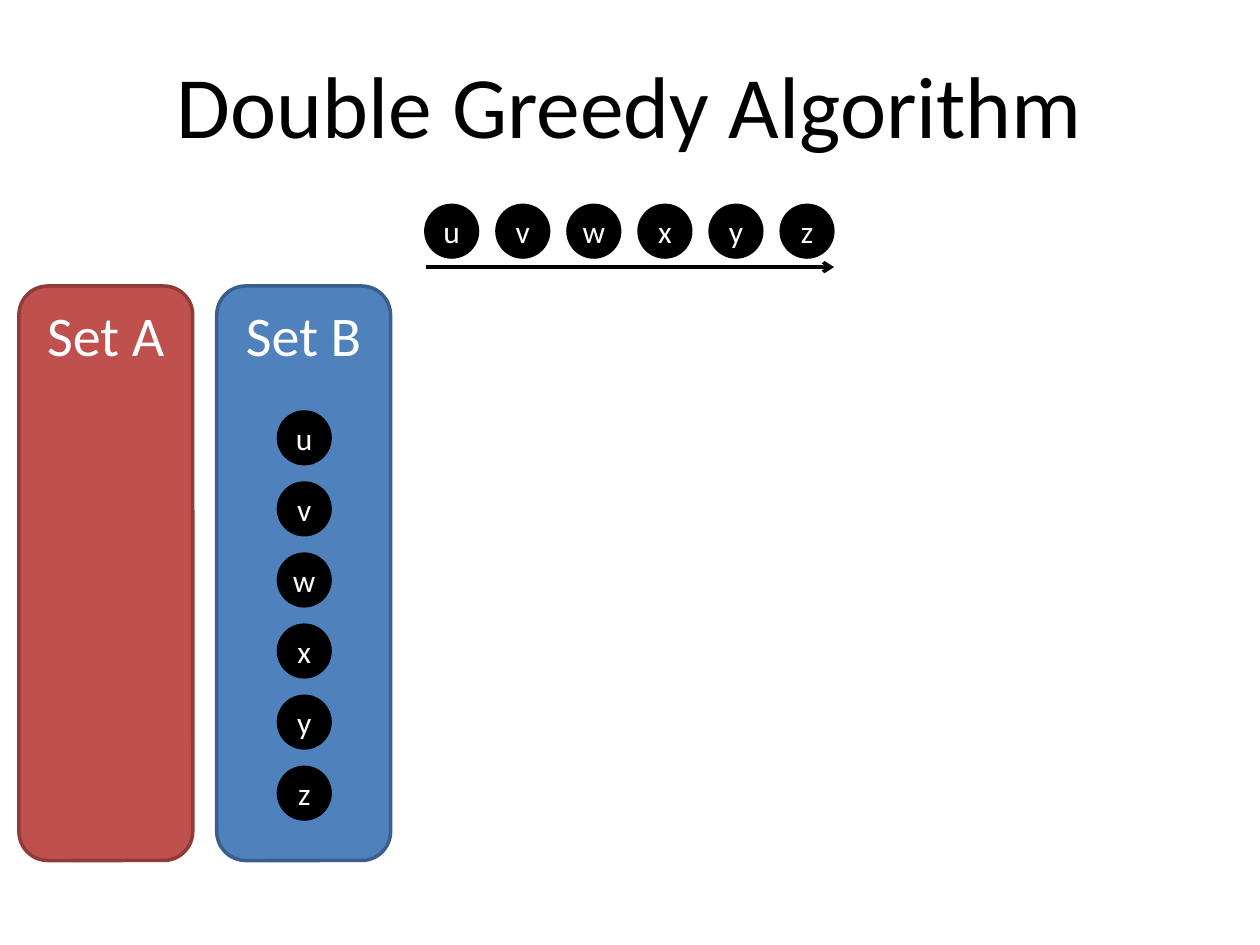
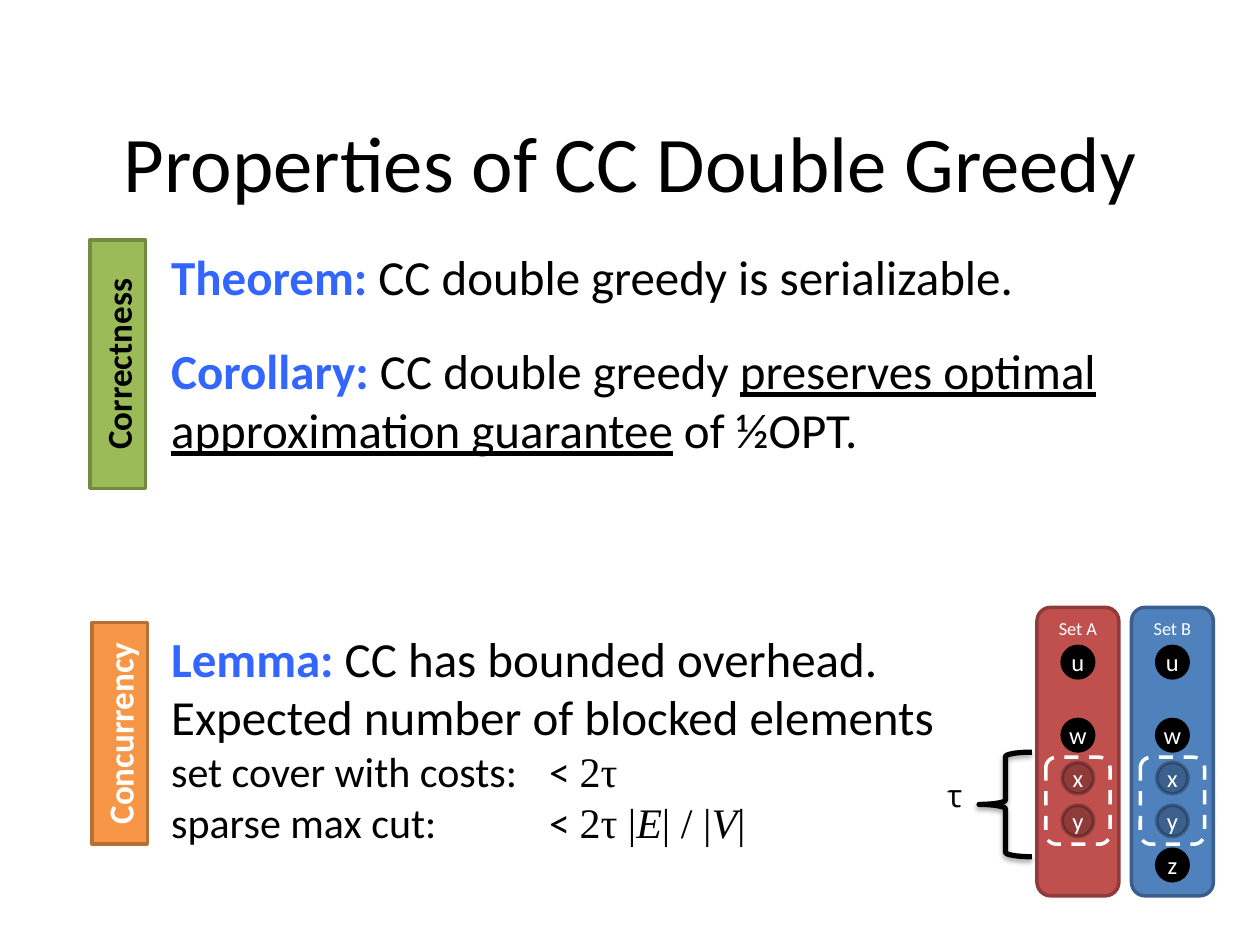
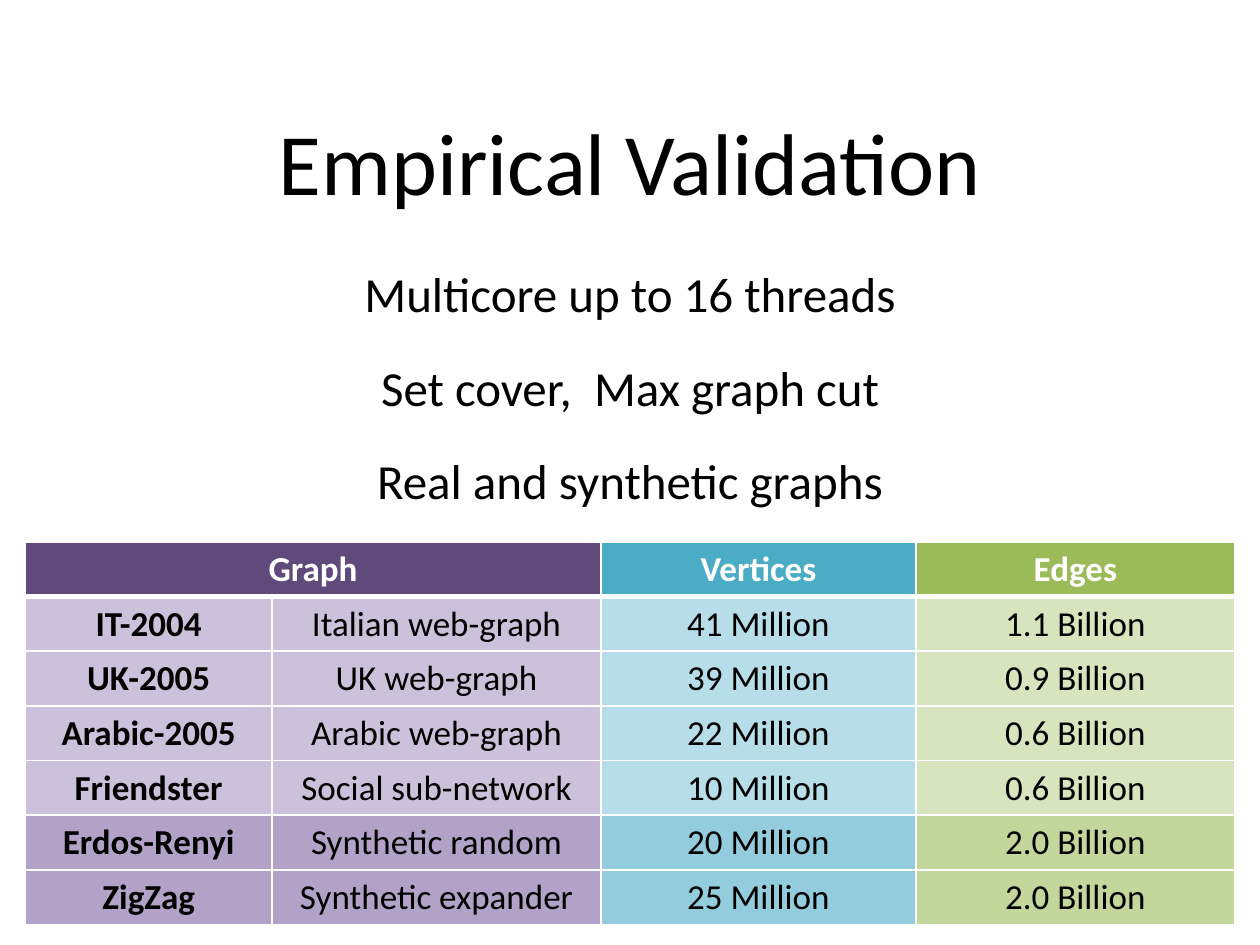
from lxml.etree import SubElement
from pptx import Presentation
from pptx.dml.color import RGBColor
from pptx.enum.dml import MSO_LINE
from pptx.enum.shapes import MSO_CONNECTOR, MSO_SHAPE
from pptx.enum.text import MSO_ANCHOR, PP_ALIGN
from pptx.oxml.ns import qn
from pptx.util import Inches, Pt

COLORS = {
    "black": "000000", "white": "FFFFFF", "accent": "3366FF",
    "red": "C0504D", "red_line": "8E3B39",
    "blue": "4F81BD", "blue_line": "3A5F8C",
    "green": "9BBB59", "green_line": "738A42",
    "orange": "F79646", "orange_line": "B76F34",
    "purple": "604A7B", "purple_mid": "B3A2C7", "purple_light": "CCC1DA",
    "teal": "4BACC6", "teal_mid": "93CDDD", "teal_light": "B7DEE8",
    "green_mid": "C3D69B", "green_light": "D7E4BD",
}
FONT = "Calibri"
MATH_FONT = "Times New Roman"

ELEMENTS = "uvwxyz"
SETS = [("Set A", "red"), ("Set B", "blue")]

LABEL = {"bold": True, "color": "accent"}
MATH = {"font": MATH_FONT}
MATH_ITALIC = {"font": MATH_FONT, "italic": True}
PROPERTIES = [
    (0, 28, [("Theorem:", LABEL), (" CC double greedy is serializable.", {})]),
    (20, 28, [("Corollary:", LABEL), (" CC double greedy ", {}),
              ("preserves optimal approximation guarantee", {"underline": True}),
              (" of ½OPT.", {})]),
    (97, 28, [("Lemma:", LABEL),
              (" CC has bounded overhead.\nExpected number of blocked elements", {})]),
    (0, 24, [("set cover with costs:\t< ", {}), ("2τ\n", MATH),
             ("sparse max cut:\t< ", {}), ("2τ |", MATH), ("E", MATH_ITALIC),
             ("| / |", MATH), ("V", MATH_ITALIC), ("|", MATH)]),
]
SIDE_BARS = [
    ("Correctness", "green", "black", -0.05, 2.67, 1.97),
    ("Concurrency", "orange", "white", 0.07, 5.6, 1.76),
]
CIRCLE_TOPS = {"u": 5.13, "w": 5.71, "x": 6.05, "y": 6.39, "z": 6.74}
SET_MEMBERS = {"Set A": "uwxy", "Set B": "uwxyz"}
BLOCKED = "xy"

VALIDATION = [
    "Multicore up to 16 threads",
    "Set cover,  Max graph cut",
    "Real and synthetic graphs",
]
GRAPHS = [
    ("Graph", "", "Vertices", "Edges"),
    ("IT-2004", "Italian web-graph", "41 Million", "1.1 Billion"),
    ("UK-2005", "UK web-graph", "39 Million", "0.9 Billion"),
    ("Arabic-2005", "Arabic web-graph", "22 Million", "0.6 Billion"),
    ("Friendster", "Social sub-network", "10 Million", "0.6 Billion"),
    ("Erdos-Renyi", "Synthetic random", "20 Million", "2.0 Billion"),
    ("ZigZag", "Synthetic expander", "25 Million", "2.0 Billion"),
]
COLUMN_WIDTHS = [1.96, 2.61, 2.5, 2.53]
COLUMN_HUES = ["purple", "purple", "teal", "green"]
FIRST_SYNTHETIC_ROW = 5
ROW_HEIGHT = 0.41


def rgb(name):
    return RGBColor.from_string(COLORS[name])


def write(paragraph, text, size=18, color="black", font=FONT, bold=False,
          italic=False, underline=False, align=PP_ALIGN.LEFT, space_before=0):
    paragraph.alignment = align
    paragraph.space_before = Pt(space_before)
    for index, line in enumerate(text.split("\n")):
        if index:
            paragraph.add_line_break()
        if not line:
            continue
        run = paragraph.add_run()
        run.text = line
        run.font.size = Pt(size)
        run.font.name = font
        run.font.color.rgb = rgb(color)
        run.font.bold = bold
        run.font.italic = italic
        run.font.underline = underline


def write_centred(paragraph, text, **style):
    write(paragraph, text, align=PP_ALIGN.CENTER, **style)


def add_titled_slide(presentation, title, top, size):
    slide = presentation.slides.add_slide(presentation.slide_layouts[5])
    shape = slide.shapes.title
    shape.left, shape.top = Inches(0.5), Inches(top)
    shape.width, shape.height = Inches(9), Inches(1.25)
    shape.text_frame.vertical_anchor = MSO_ANCHOR.MIDDLE
    write_centred(shape.text_frame.paragraphs[0], title, size=size)
    return slide


def add_text_frame(slide, left, top, width, height, wrap=True):
    box = slide.shapes.add_textbox(*map(Inches, (left, top, width, height)))
    box.text_frame.word_wrap = wrap
    return box.text_frame


def add_preset(slide, preset, left, top, width, height, fill, line, weight=2):
    shape = slide.shapes.add_shape(preset, *map(Inches, (left, top, width, height)))
    shape.shadow.inherit = False
    if fill:
        shape.fill.solid()
        shape.fill.fore_color.rgb = rgb(fill)
    else:
        shape.fill.background()
    shape.line.color.rgb = rgb(line)
    shape.line.width = Pt(weight)
    return shape


def add_circle(slide, letter, left, top, diameter, size, faded=False):
    circle = add_preset(slide, MSO_SHAPE.OVAL, left, top, diameter, diameter, "black", "black")
    if faded:
        for color in circle._element.spPr.iter(qn("a:srgbClr")):
            SubElement(color, qn("a:alpha"), val="25000")
    frame = circle.text_frame
    frame.margin_left = frame.margin_right = frame.margin_top = frame.margin_bottom = 0
    frame.vertical_anchor = MSO_ANCHOR.MIDDLE
    write_centred(frame.paragraphs[0], letter, size=size, color="white")


def add_set(slide, name, hue, left, top, width, height, size):
    panel = add_preset(slide, MSO_SHAPE.ROUNDED_RECTANGLE, left, top, width, height,
                       hue, f"{hue}_line")
    panel.text_frame.vertical_anchor = MSO_ANCHOR.TOP
    write_centred(panel.text_frame.paragraphs[0], name, size=size, color="white")


def add_order_arrow(slide):
    arrow = slide.shapes.add_connector(
        MSO_CONNECTOR.STRAIGHT, *map(Inches, (3.38, 2.12, 6.62, 2.12)))
    arrow.line.color.rgb = rgb("black")
    arrow.line.width = Pt(2)
    SubElement(arrow.line._get_or_add_ln(), qn("a:tailEnd"), type="arrow")
    SubElement(arrow._element.spPr, qn("a:effectLst"))


def build_algorithm(presentation):
    slide = add_titled_slide(presentation, "Double Greedy Algorithm", 0.2, 50)
    for index, (name, hue) in enumerate(SETS):
        add_set(slide, name, hue, 0.15 + index * 1.57, 2.27, 1.38, 4.56, 32)
    step = 2.82 / (len(ELEMENTS) - 1)
    for index, letter in enumerate(ELEMENTS):
        add_circle(slide, letter, 2.21, 3.27 + index * step, 0.41, 18)
        add_circle(slide, letter, 3.38 + index * step, 1.63, 0.41, 18)
    add_order_arrow(slide)


def add_brace(slide):
    brace = add_preset(slide, MSO_SHAPE.LEFT_BRACE, 7.77, 5.97, 0.42, 0.83, None, "black", 3)
    effects = brace._element.spPr.find(qn("a:effectLst"))
    shadow = SubElement(effects, qn("a:outerShdw"), blurRad=str(Pt(3.1)),
                        dist=str(Pt(1.8)), dir="5400000", rotWithShape="0")
    color = SubElement(shadow, qn("a:srgbClr"), val=COLORS["black"])
    SubElement(color, qn("a:alpha"), val="35000")


def build_properties(presentation):
    slide = add_titled_slide(presentation, "Properties of CC Double Greedy", 0.65, 45)
    frame = add_text_frame(slide, 1.26, 1.91, 8.58, 4.79)
    for index, (space_before, size, runs) in enumerate(PROPERTIES):
        paragraph = frame.add_paragraph() if index else frame.paragraphs[0]
        if any("\t" in text for text, style in runs):
            tabs = SubElement(paragraph._p.get_or_add_pPr(), qn("a:tabLst"))
            SubElement(tabs, qn("a:tab"), pos=str(Inches(3)), algn="l")
        for text, style in runs:
            write(paragraph, text, size=size, space_before=space_before, **style)

    for label, hue, color, left, top, length in SIDE_BARS:
        bar = add_preset(slide, MSO_SHAPE.RECTANGLE, left, top, length, 0.44,
                         hue, f"{hue}_line")
        bar.rotation = 270
        write_centred(bar.text_frame.paragraphs[0], label, size=20, color=color, bold=True)

    for index, (name, hue) in enumerate(SETS):
        left = 8.23 + index * 0.75
        add_set(slide, name, hue, left, 4.82, 0.65, 2.29, 10.5)
        window = add_preset(slide, MSO_SHAPE.ROUNDED_RECTANGLE, left + 0.07, 6.01,
                            0.51, 0.69, hue, "white")
        window.line.dash_style = MSO_LINE.DASH
        for letter in SET_MEMBERS[name]:
            add_circle(slide, letter, left + 0.2, CIRCLE_TOPS[letter], 0.25, 14,
                       faded=letter in BLOCKED)
    add_brace(slide)
    delay = add_text_frame(slide, 7.42, 6.11, 0.34, 0.4, wrap=False)
    write(delay.paragraphs[0], "τ", font="Open Sans")


def set_borders(cell, top, bottom):
    properties = cell._tc.get_or_add_tcPr()
    widths = {"lnL": 1, "lnR": 1, "lnT": top, "lnB": bottom}
    for index, (side, width) in enumerate(widths.items()):
        line = SubElement(properties, qn(f"a:{side}"), w=str(Pt(width)))
        fill = SubElement(line, qn("a:solidFill"))
        SubElement(fill, qn("a:srgbClr"), val=COLORS["white"])
        properties.insert(index, line)


def build_validation(presentation):
    slide = add_titled_slide(presentation, "Empirical Validation", 0.65, 50)
    frame = add_text_frame(slide, 0.5, 2.04, 9, 2.2)
    for index, text in enumerate(VALIDATION):
        paragraph = frame.add_paragraph() if index else frame.paragraphs[0]
        write_centred(paragraph, text, size=28, space_before=20 if index else 0)

    table = slide.shapes.add_table(
        len(GRAPHS), len(COLUMN_WIDTHS), Inches(0.2), Inches(4.3),
        Inches(sum(COLUMN_WIDTHS)), Inches(ROW_HEIGHT * len(GRAPHS))).table
    table.horz_banding = False
    for column, width in zip(table.columns, COLUMN_WIDTHS):
        column.width = Inches(width)
    for row_index, values in enumerate(GRAPHS):
        table.rows[row_index].height = Inches(ROW_HEIGHT)
        header = row_index == 0
        shade = "" if header else "_mid" if row_index >= FIRST_SYNTHETIC_ROW else "_light"
        for column_index, value in enumerate(values):
            cell = table.cell(row_index, column_index)
            cell.fill.solid()
            cell.fill.fore_color.rgb = rgb(COLUMN_HUES[column_index] + shade)
            set_borders(cell, top=3 if row_index == 1 else 1, bottom=3 if header else 1)
            write_centred(cell.text_frame.paragraphs[0], value, size=20,
                          color="white" if header else "black",
                          bold=header or column_index == 0)
    table.cell(0, 0).merge(table.cell(0, 1))


def main():
    presentation = Presentation()
    presentation.slide_width, presentation.slide_height = Inches(10), Inches(7.5)
    build_algorithm(presentation)
    build_properties(presentation)
    build_validation(presentation)
    presentation.save("out.pptx")


if __name__ == "__main__":
    main()
